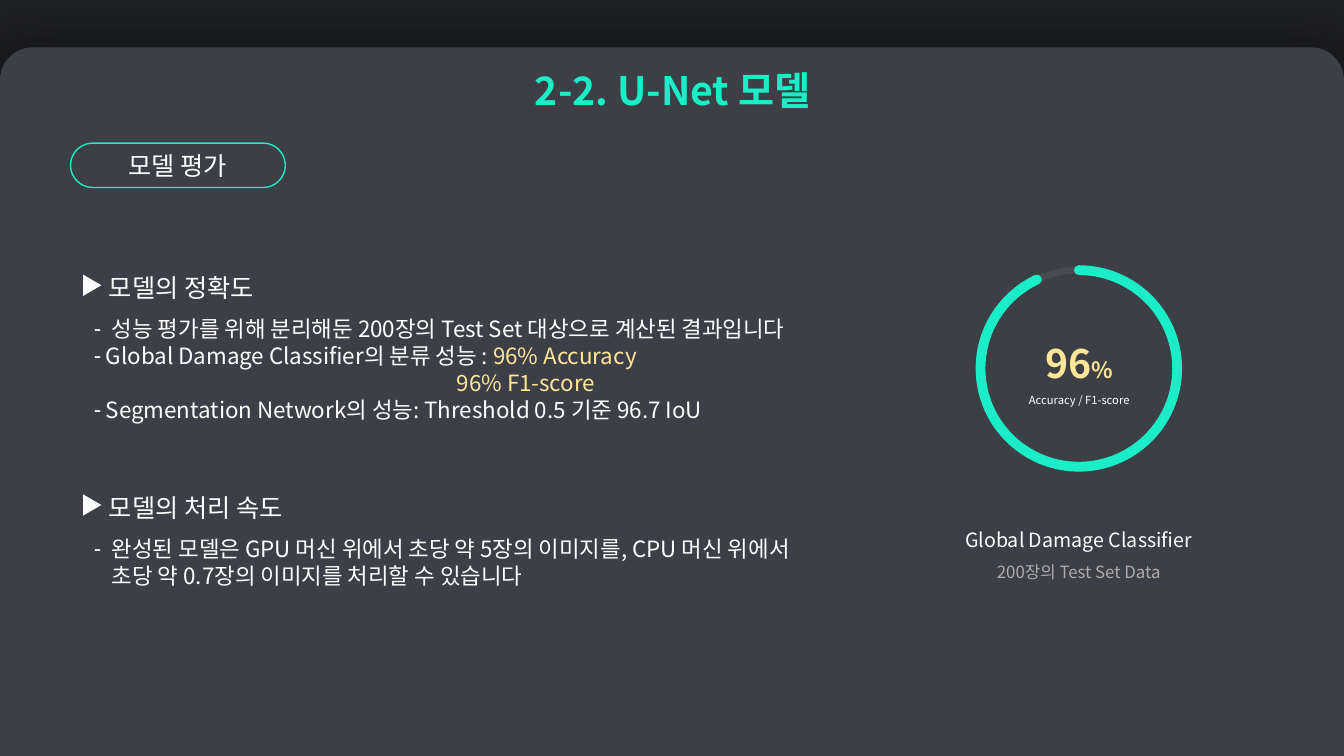
import pptx
import pptx.util
import pptx.dml.color
import pptx.enum.shapes
import pptx.enum.text
import pptx.oxml
import pptx.oxml.ns
from dataclasses import dataclass
from lxml import etree

Inches = pptx.util.Inches
Pt = pptx.util.Pt
Shape = pptx.enum.shapes.MSO_SHAPE
Align = pptx.enum.text.PP_ALIGN
Anchor = pptx.enum.text.MSO_ANCHOR
qn = pptx.oxml.ns.qn


@dataclass(frozen=True)
class Theme:
    font: str = "Noto Sans CJK KR"
    back: str = "1F2024"
    panel: str = "3C3F46"
    track: str = "484B52"
    mint: str = "1BEDC6"
    gold: str = "FFE699"
    white: str = "FFFFFF"
    gray: str = "AFABAB"
    title: int = 28
    head: int = 18
    body: int = 16
    name: int = 14
    note: int = 12
    tiny: int = 8
    pitch: float = 1.2  # line height per point of type


T = Theme()


def rgb(code):
    return pptx.dml.color.RGBColor.from_string(code)


# Text helpers
def place(shape, x, y, w, h):
    shape.left, shape.top = Inches(x), Inches(y)
    shape.width, shape.height = Inches(w), Inches(h)
    frame = shape.text_frame
    frame.word_wrap = True
    frame.auto_size = pptx.enum.text.MSO_AUTO_SIZE.NONE
    frame.vertical_anchor = Anchor.TOP
    return frame


def add_run(para, text, size, color, bold=False):
    run = para.add_run()
    run.text = text
    font = run.font
    font.size, font.bold = Pt(size), bold
    font.color.rgb = rgb(color)
    font.name = T.font
    etree.SubElement(run._r.get_or_add_rPr(), qn("a:ea"), typeface=T.font)


def add_para(frame, runs, align=Align.LEFT, lines=1, mark=None, left=0):
    """Each run is (text, size, color) with an optional bold flag."""
    para = frame.paragraphs[0]
    if para.runs:
        para = frame.add_paragraph()
    para.alignment = align
    props = para._p.get_or_add_pPr()
    props.set("marL", str(Inches(left)))
    props.set("indent", str(-Inches(left) if mark else 0))
    if mark:
        etree.SubElement(props, qn("a:buChar"), char=mark)
    else:
        etree.SubElement(props, qn("a:buNone"))
    para.space_before = Pt(0)
    para.line_spacing = Pt(round(max(r[1] for r in runs) * T.pitch * lines, 1))
    for run in runs:
        add_run(para, *run)


def add_form(slide, kind, x, y, w, h, fill=None, line=None, width=1):
    form = slide.shapes.add_shape(kind, Inches(x), Inches(y), Inches(w), Inches(h))
    form.shadow.inherit = False
    if fill:
        form.fill.solid()
        form.fill.fore_color.rgb = rgb(fill)
    else:
        form.fill.background()
    if line:
        form.line.color.rgb = rgb(line)
        form.line.width = Pt(width)
    else:
        form.line.fill.background()
    return form


# Rounded panel behind everything, with a soft shadow upward
def add_panel(slide, x, y, w, h):
    panel = add_form(slide, Shape.ROUND_2_SAME_RECTANGLE, x, y, w, h, T.panel)
    panel.adjustments[0] = 0.046
    glow = panel._element.spPr.find(qn("a:effectLst"))
    shade = etree.SubElement(glow, qn("a:outerShdw"), blurRad=str(Pt(26)),
                             dist=str(Pt(6)), dir="16200000", algn="b", rotWithShape="0")
    tone = etree.SubElement(shade, qn("a:srgbClr"), val="000000")
    etree.SubElement(tone, qn("a:alpha"), val="40000")
    slide.shapes._spTree.insert(2, panel._element)


def add_title(slide, x, y, w, h):
    frame = place(slide.shapes.title, x, y, w, h)
    add_para(frame, [("2-2. U-Net 모델", T.title, T.mint, True)], Align.CENTER)


# Outlined section tag
def add_tag(slide, x, y, w, h):
    tag = add_form(slide, Shape.ROUNDED_RECTANGLE, x, y, w, h, line=T.mint)
    tag.adjustments[0] = 0.5
    frame = tag.text_frame
    frame.vertical_anchor = Anchor.MIDDLE
    add_para(frame, [("모델 평가", T.head, T.white)], Align.CENTER)


# Heading with a pointer, and the list under it
def add_topic(slide, slots, x, y, w, h, head, items):
    add_form(slide, Shape.ISOSCELES_TRIANGLE, x - 0.02, y + 0.09, 0.21, 0.18,
             T.white).rotation = 90
    frame = place(slots[0], x + 0.15, y, w - 0.15, 0.4)
    add_para(frame, [(head, T.head, T.white)])
    frame = place(slots[1], x, y + 0.43, w, h - 0.43)
    for mark, left, parts in items:
        runs = [(text, T.body, color) for text, color in parts]
        add_para(frame, runs, mark=mark, left=left)


# Ring gauge with its value and caption
def add_gauge(slide, x, y, w, h):
    size = 1.95
    ring = (x + (w - size) / 2, y, size, size)
    add_form(slide, Shape.OVAL, *ring, line=T.track, width=4.75)
    arc = add_form(slide, Shape.ARC, *ring, line=T.mint, width=7)
    arc.adjustments[0], arc.adjustments[1] = 162, 146.89
    arc.line._get_or_add_ln().set("cap", "rnd")

    def label(dx, dy, wide, high):
        box = slide.shapes.add_textbox(0, 0, 0, 0)
        return place(box, x + dx, y + dy, wide, high)

    frame = label(0.67, 0.64, 1.33, 0.77)
    add_para(frame, [("96", T.title, T.gold, True), ("%", T.body, T.gold, True)],
             Align.CENTER)
    add_para(frame, [("Accuracy / F1-score", T.tiny, T.white)], Align.CENTER, 1.5)
    frame = label(0, 2.39, w, h - 2.39)
    add_para(frame, [("Global Damage Classifier", T.name, T.white)], Align.CENTER, 1.5)
    add_para(frame, [("200장의 Test Set Data", T.note, T.gray)], Align.CENTER, 1.5)


def main():
    deck = pptx.Presentation()
    deck.slide_width, deck.slide_height = Inches(13.33), Inches(7.5)
    slide = deck.slides.add_slide(deck.slide_layouts[4])
    slide.background.fill.solid()
    slide.background.fill.fore_color.rgb = rgb(T.back)
    slots = list(slide.placeholders)[1:]

    add_panel(slide, 0, 0.47, 13.33, 7.03)
    add_title(slide, 0.67, 0.61, 12, 0.6)
    add_tag(slide, 0.7, 1.42, 2.13, 0.44)

    score = [
        ("-", 0.18, [("성능 평가를 위해 분리해둔 200장의 Test Set 대상으로 계산된 결과입니다", T.white)]),
        ("-", 0.12, [("Global Damage Classifier의 분류 성능 : ", T.white),
                     ("96% Accuracy", T.gold)]),
        (None, 3.6, [("96% F1-score", T.gold)]),
        ("-", 0.12, [("Segmentation Network의 성능: Threshold 0.5 기준 96.7 IoU", T.white)]),
    ]
    speed = [
        ("-", 0.18, [("완성된 모델은 GPU 머신 위에서 초당 약 5장의 이미지를, CPU 머신 위에서", T.white)]),
        (None, 0.18, [("초당 약 0.7장의 이미지를 처리할 수 있습니다", T.white)]),
    ]
    add_topic(slide, slots[:2], 0.83, 2.65, 7.84, 1.61, "모델의 정확도", score)
    add_topic(slide, slots[2:], 0.83, 4.83, 7.84, 1.07, "모델의 처리 속도", speed)
    add_gauge(slide, 9.37, 2.68, 2.66, 3.15)
    deck.save("out.pptx")


if __name__ == "__main__":
    main()
